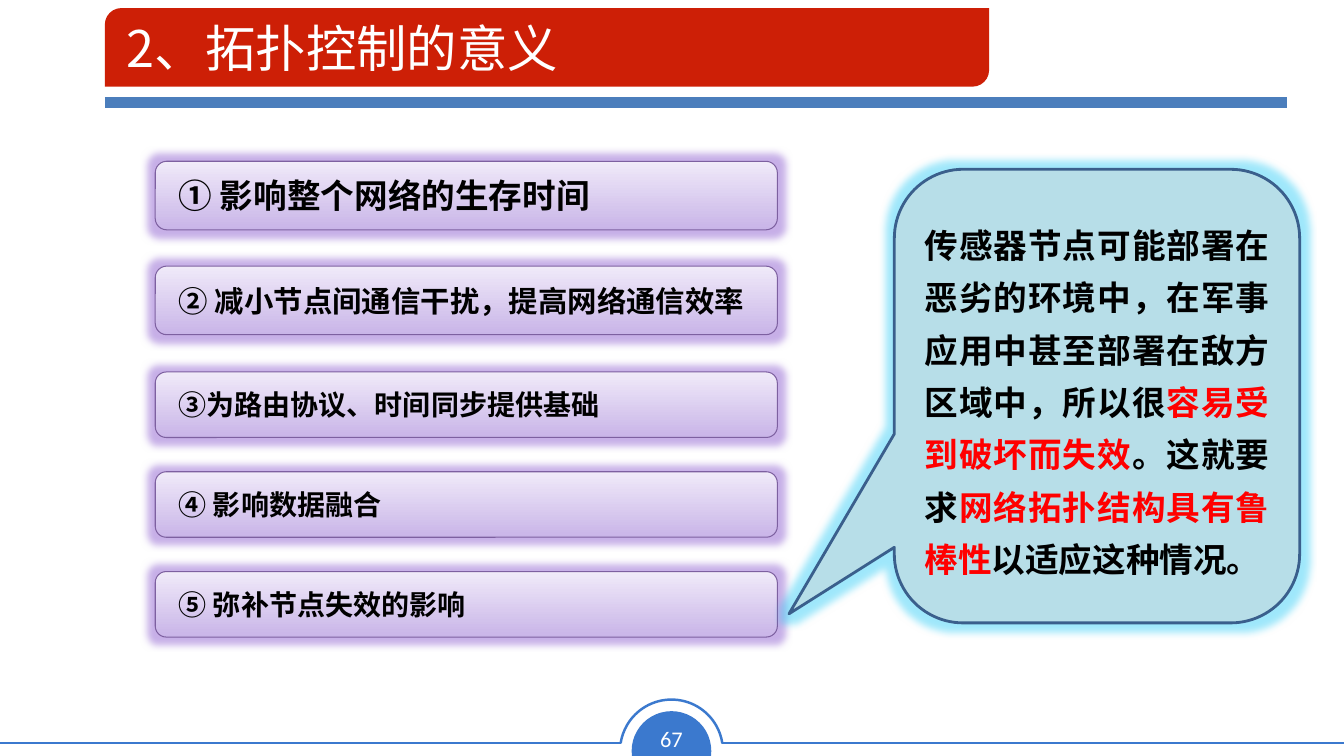
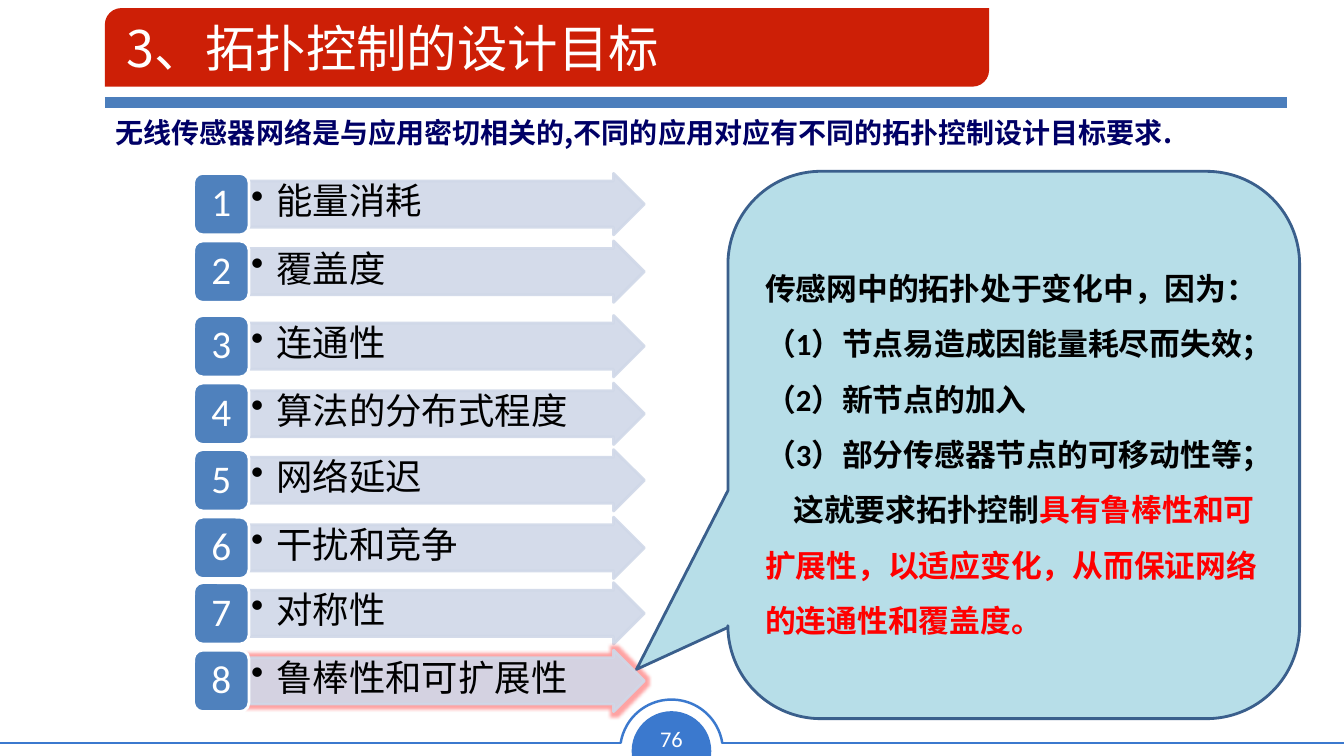
"""Build two slides on topology control in wireless sensor networks."""
import dataclasses

import lxml.etree
import pptx
import pptx.dml.color
import pptx.enum.shapes
import pptx.enum.text
import pptx.oxml.ns
import pptx.util

Inches = pptx.util.Inches
Pt = pptx.util.Pt
SHAPE = pptx.enum.shapes.MSO_SHAPE
ALIGN = pptx.enum.text.PP_ALIGN
ANCHOR = pptx.enum.text.MSO_ANCHOR
qn = pptx.oxml.ns.qn


@dataclasses.dataclass(frozen=True)
class Theme:
    """Colours, fonts and type sizes that the slides share."""
    latin: str = "Calibri"
    east_asian: str = "Noto Sans CJK SC"
    black: str = "000000"
    white: str = "FFFFFF"
    red: str = "FF0000"
    navy: str = "000066"
    title_fill: str = "CD1F06"
    band: str = "4B7EBC"
    footer: str = "3B79CE"
    bar_dark: str = "C9B5E8"
    bar_light: str = "F0EAF9"
    bar_line: str = "7D60A0"
    bar_glow: str = "7339C5"
    callout: str = "B7DEE8"
    callout_line: str = "3A5F8C"
    callout_glow: str = "11C5F5"
    arrow: str = "D0D8E8"
    arrow_glow: str = "FF1A1A"
    badge: str = "4F81BD"
    title_size: int = 36
    badge_size: int = 28
    goal_size: int = 26
    lead_size: int = 20
    number_size: int = 16


THEME = Theme()


def rgb(value):
    """Turn a hexadecimal string into a colour."""
    return pptx.dml.color.RGBColor.from_string(value)


def add_shape(slide, kind, box, fill=None, line=None, width=1, adjustments=()):
    """Add a preset shape without shadow, with the given fill and outline."""
    shape = slide.shapes.add_shape(kind, *map(Inches, box))
    shape.shadow.inherit = False
    for index, value in enumerate(adjustments):
        shape.adjustments[index] = value
    if fill:
        shape.fill.solid()
        shape.fill.fore_color.rgb = rgb(fill)
    else:
        shape.fill.background()
    if line:
        shape.line.color.rgb = rgb(line)
        shape.line.width = Pt(width)
    else:
        shape.line.fill.background()
    return shape


def add_line(slide, start, end, color, width):
    """Add a straight line without shadow."""
    line = slide.shapes.add_connector(
        pptx.enum.shapes.MSO_CONNECTOR.STRAIGHT, *map(Inches, start + end))
    line.line.color.rgb = rgb(color)
    line.line.width = Pt(width)
    lxml.etree.SubElement(line._element.spPr, qn("a:effectLst"))


def add_glow(shape, color, radius):
    """Surround a shape with a soft translucent glow."""
    effects = shape._element.spPr.find(qn("a:effectLst"))
    glow = lxml.etree.SubElement(effects, qn("a:glow"), rad=str(Inches(radius)))
    tint = lxml.etree.SubElement(glow, qn("a:srgbClr"), val=color)
    lxml.etree.SubElement(tint, qn("a:alpha"), val="40000")


def set_opacity(shape, percent):
    """Make the fill and the outline of a shape partly transparent."""
    for color in list(shape._element.spPr.iter(qn("a:srgbClr"))):
        lxml.etree.SubElement(color, qn("a:alpha"), val=str(percent * 1000))


def style_run(run, size, color, bold=False, latin=THEME.latin):
    """Give a run its fonts, size, colour and weight."""
    run.font.size = Pt(size)
    run.font.bold = bold
    run.font.color.rgb = rgb(color)
    run.font.name = latin
    east_asian = lxml.etree.Element(qn("a:ea"), typeface=THEME.east_asian)
    run.font._element.find(qn("a:latin")).addnext(east_asian)


def set_text(shape, text, size, color, bold=False, latin=THEME.latin,
             align=ALIGN.LEFT, anchor=ANCHOR.MIDDLE, insets=(0.1, 0.05), wrap=True):
    """Write one styled paragraph into a shape and return it."""
    frame = shape.text_frame
    frame.text = text
    frame.word_wrap = wrap
    frame.vertical_anchor = anchor
    frame.margin_left = frame.margin_right = Inches(insets[0])
    frame.margin_top = frame.margin_bottom = Inches(insets[1])
    paragraph = frame.paragraphs[0]
    paragraph.alignment = align
    style_run(paragraph.runs[0], size, color, bold, latin)
    return paragraph


def add_text(slide, box, text, size, color, **options):
    """Add a text box with one styled paragraph."""
    shape = slide.shapes.add_textbox(*map(Inches, box))
    set_text(shape, text, size, color, **options)


def add_footer(slide, number, center=6.66, middle=7.45, rule=7.37):
    """Add the bottom rule with the page number in its dome."""
    disc, ring = 0.79, 1.02
    dome = add_shape(slide, SHAPE.CHORD,
                     (center - disc / 2, middle - disc / 2, disc, disc),
                     THEME.footer, adjustments=(35.77, 153.29))
    dome.rotation = 112.4
    for start, end in ((0, center - 0.5), (center + 0.5, 13.33)):
        add_line(slide, (start, rule), (end, rule), THEME.footer, 1.77)
    add_shape(slide, SHAPE.ARC, (center - ring / 2, middle - ring / 2, ring, ring),
              line=THEME.footer, width=1.77, adjustments=(113.17, 210.98))
    add_text(slide, (center - 0.23, 7.14, 0.46, 0.37), str(number),
             THEME.number_size, THEME.white, align=ALIGN.CENTER,
             anchor=ANCHOR.TOP, wrap=False)


def add_title(slide, text, left=1.04, top=0.08):
    """Add the red title plate, the blue band and the title."""
    add_line(slide, (left, 1.02), (left + 11.72, 1.02), THEME.band, 8)
    add_shape(slide, SHAPE.ROUND_2_DIAG_RECTANGLE, (left, top, 8.77, 0.78),
              THEME.title_fill, adjustments=(0.21, 0))
    add_text(slide, (left + 0.12, top + 0.02, 11.57, 0.74), text,
             THEME.title_size, THEME.white, latin=THEME.east_asian)


def start_slide(presentation, title, number):
    """Add a blank slide with the shared footer and title."""
    slide = presentation.slides.add_slide(presentation.slide_layouts[6])
    add_footer(slide, number)
    add_title(slide, title)
    return slide


def add_bar(slide, box, text, size):
    """Add a glowing violet bar with one line of bold text."""
    bar = add_shape(slide, SHAPE.ROUNDED_RECTANGLE, box, line=THEME.bar_line, width=0.75)
    bar.fill.gradient()
    bar.fill.gradient_angle = 90
    for stop, color in zip(bar.fill.gradient_stops, (THEME.bar_dark, THEME.bar_light)):
        stop.color.rgb = rgb(color)
    add_glow(bar, THEME.bar_glow, 0.15)
    set_text(bar, text, size, THEME.black, bold=True, insets=(0.2, 0))


def add_callout(slide, box, tail, paragraphs, size, spacing, align=ALIGN.LEFT):
    """Add a speech bubble whose paragraphs are lists of text and colour."""
    bubble = add_shape(slide, SHAPE.ROUNDED_RECTANGULAR_CALLOUT, box, THEME.callout,
                       THEME.callout_line, 2, tail + (0.17,))
    frame = bubble.text_frame
    frame.word_wrap = True
    frame.vertical_anchor = ANCHOR.MIDDLE
    for index, pieces in enumerate(paragraphs):
        paragraph = frame.add_paragraph() if index else frame.paragraphs[0]
        paragraph.alignment = align
        paragraph.line_spacing = spacing
        for text, color in pieces:
            run = paragraph.add_run()
            run.text = text
            style_run(run, size, color, bold=True)
    return bubble


def add_goal(slide, left, top, number, text, highlighted=False):
    """Add a numbered badge with a bulleted arrow at its right."""
    height, badge_width = 0.61, 0.55
    arrow = add_shape(slide, SHAPE.RIGHT_ARROW, (left + badge_width, top, 3.92, height),
                      THEME.arrow, THEME.arrow, 2, (0.75, 0.5))
    set_opacity(arrow, 90)
    if highlighted:
        add_glow(arrow, THEME.arrow_glow, 0.07)
    paragraph = set_text(arrow, text, THEME.goal_size, THEME.black,
                         anchor=ANCHOR.TOP, insets=(0.02, 0.02))
    paragraph.line_spacing = 0.9
    properties = paragraph._element.get_or_add_pPr()
    properties.set("marL", str(Inches(0.25)))
    properties.set("indent", str(-Inches(0.25)))
    lxml.etree.SubElement(properties, qn("a:buChar"), char="•")
    badge = add_shape(slide, SHAPE.ROUNDED_RECTANGLE, (left, top, badge_width, height),
                      THEME.badge, THEME.white, 2)
    label = set_text(badge, str(number), THEME.badge_size, THEME.white,
                     align=ALIGN.CENTER, insets=(0.06, 0.06))
    label.line_spacing = 0.9


def build_significance(presentation):
    """Build the slide on why topology control matters."""
    slide = start_slide(presentation, "2、拓扑控制的意义", 67)
    bars = (
        (1.6, 0.68, 24, "① 影响整个网络的生存时间"),
        (2.64, 0.68, 21, "② 减小节点间通信干扰，提高网络通信效率"),
        (3.69, 0.65, 20, "③为路由协议、时间同步提供基础"),
        (4.68, 0.65, 20, "④ 影响数据融合"),
        (5.67, 0.65, 20, "⑤ 弥补节点失效的影响"),
    )
    for top, height, size, text in bars:
        add_bar(slide, (1.54, top, 6.17, height), text, size)
    message = [
        ("传感器节点可能部署在恶劣的环境中，在军事应用中甚至部署在敌方区域中，所以很",
         THEME.black),
        ("容易受到破坏而失效", THEME.red),
        ("。这就要求", THEME.black),
        ("网络拓扑结构具有鲁棒性", THEME.red),
        ("以适应这种情况。", THEME.black),
    ]
    bubble = add_callout(slide, (8.87, 1.68, 4.02, 4.5), (-0.76, 0.48), [message],
                         24, 1.3, ALIGN.JUSTIFY)
    add_glow(bubble, THEME.callout_glow, 0.15)


def build_goals(presentation):
    """Build the slide on the design goals of topology control."""
    slide = start_slide(presentation, "3、拓扑控制的设计目标", 76)
    goals = ("能量消耗", "覆盖度", "连通性", "算法的分布式程度",
             "网络延迟", "干扰和竞争", "对称性", "鲁棒性和可扩展性")
    pair_tops = (1.72, 3.13, 4.46, 5.78)
    for index, text in enumerate(goals):
        top = pair_tops[index // 2] + 0.67 * (index % 2)
        add_goal(slide, 1.92, top, index + 1, text, index == len(goals) - 1)
    add_text(slide, (1.05, 1.1, 11.68, 0.44),
             "无线传感器网络是与应用密切相关的,不同的应用对应有不同的拓扑控制设计目标要求.",
             THEME.lead_size, THEME.navy, bold=True, latin=THEME.east_asian,
             anchor=ANCHOR.TOP)
    reasons = ("传感网中的拓扑处于变化中，因为：", "（1）节点易造成因能量耗尽而失效；",
               "（2）新节点的加入", "（3）部分传感器节点的可移动性等；")
    message = [[(text, THEME.black)] for text in reasons]
    message.append([
        ("这就要求拓扑控制", THEME.black),
        ("具有鲁棒性和可扩展性，以适应变化，从而保证网络的连通性和覆盖度。", THEME.red),
    ])
    bubble = add_callout(slide, (7.22, 1.7, 5.67, 5.43), (-0.66, 0.41), message, 22, 1.5)
    conclusion = bubble.text_frame.paragraphs[-1]
    conclusion._element.get_or_add_pPr().set("indent", str(Inches(0.28)))


def main():
    """Create the presentation and save it."""
    presentation = pptx.Presentation()
    presentation.slide_width = Inches(13.33)
    presentation.slide_height = Inches(7.5)
    build_significance(presentation)
    build_goals(presentation)
    presentation.save("out.pptx")


if __name__ == "__main__":
    main()
